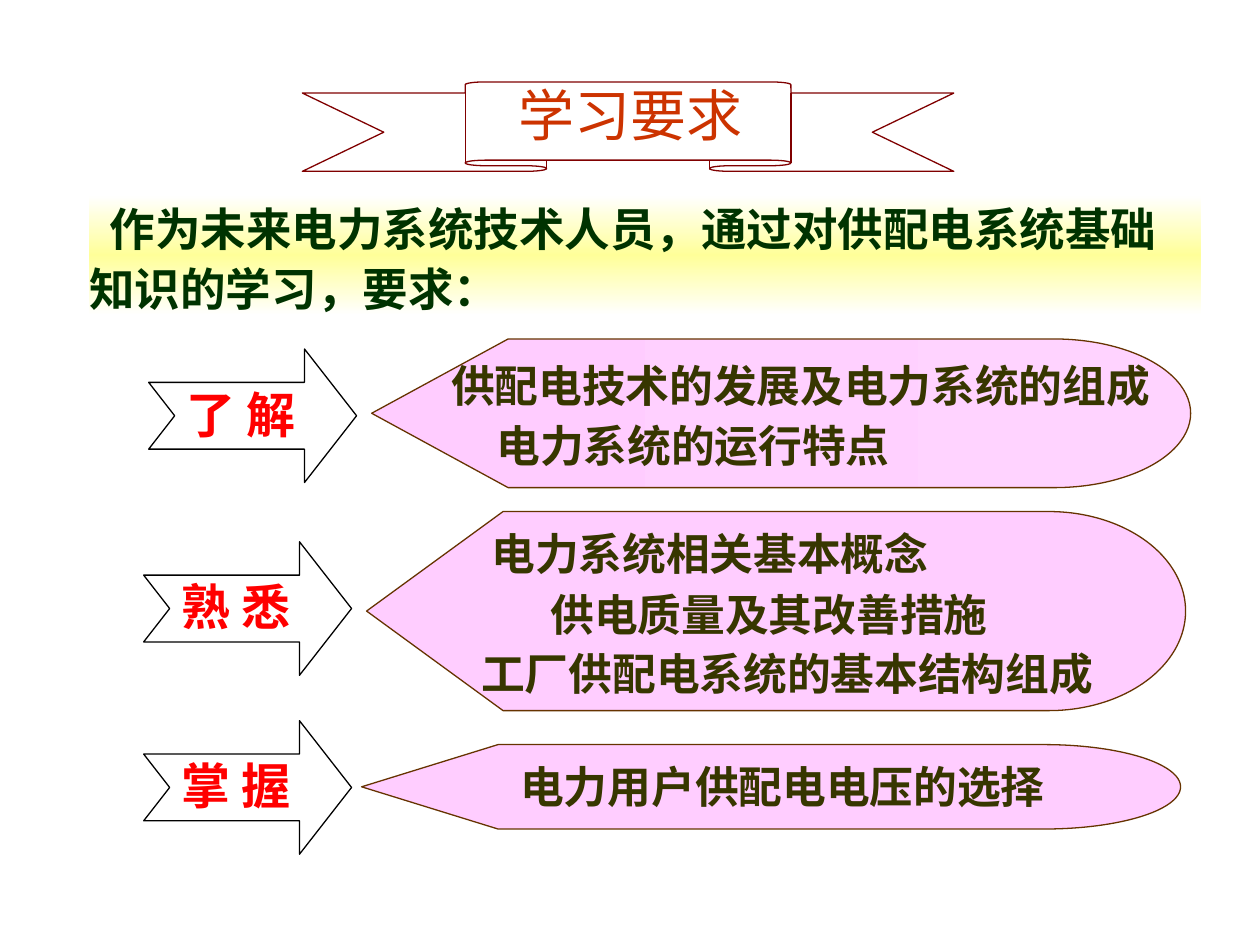
from dataclasses import dataclass

from lxml import etree
from pptx import Presentation
from pptx.dml.color import RGBColor
from pptx.enum import shapes, text
from pptx.oxml.ns import qn
from pptx.util import Inches, Pt


@dataclass(frozen=True)
class Theme:
    """Colours, fonts and type sizes of the slide."""
    latin: str = "Arial"
    cjk: str = "Noto Sans CJK SC"
    title: str = "CC3300"
    ribbon: str = "800000"
    intro: str = "003300"
    band: tuple = ("FFFFFF", "FFFF99", "FFFFFF")
    label: str = "FF0000"
    arrow: str = "000000"
    topic: str = "373600"
    panel: tuple = ("FFCCFF", "FFD3FF")
    panel_plain: tuple = ("FFCDFF", "FFCCFF")
    panel_line: str = "663300"
    title_size: int = 32
    intro_size: int = 26
    label_size: int = 28
    topic_size: float = 25
    line_width: float = 0.75


T = Theme()

LEVELS = [
    ("了 解", (1.18, 2.77), (2.95, 2.69, 6.5, 1.18), T.panel,
     [("供配电技术的发展及电力系统的组成", 3.58, 2.81, 5.71),
      ("电力系统的运行特点", 3.94, 3.28, 3.54)]),
    ("熟 悉", (1.14, 4.3), (2.91, 4.06, 6.5, 1.58), T.panel_plain,
     [("电力系统相关基本概念", 3.9, 4.14, 3.86),
      ("供电质量及其改善措施", 4.37, 4.62, 3.86),
      ("工厂供配电系统的基本结构组成", 3.82, 5.09, 5.24)]),
    ("掌 握", (1.14, 5.72), (2.87, 5.91, 6.5, 0.67), T.panel_plain,
     [("电力用户供配电电压的选择", 4.13, 5.99, 4.53)]),
]


def set_gradient(sp, colors, angle):
    """Fill a shape with evenly spaced gradient stops."""
    sp.fill.gradient()
    sp.fill.gradient_angle = angle
    stops = sp.element.spPr.find(f".//{qn('a:gsLst')}")
    for stop in list(stops):
        stops.remove(stop)
    for i, color in enumerate(colors):
        gs = etree.SubElement(stops, qn("a:gs"), pos=str(100000 * i // (len(colors) - 1)))
        etree.SubElement(gs, qn("a:srgbClr"), val=color)


def add_outline(s, kind, box, line=None, adjustments=()):
    """Add an unfilled preset shape with a thin line or none."""
    sp = s.shapes.add_shape(kind, *map(Inches, box))
    sp.shadow.inherit = False
    sp.fill.background()
    if line:
        sp.line.color.rgb = RGBColor.from_string(line)
        sp.line.width = Pt(T.line_width)
    else:
        sp.line.fill.background()
    for i, value in enumerate(adjustments):
        sp.adjustments[i] = value
    return sp


def write(sp, content, size, color, bold=True, spacing=None, latin=T.latin,
          align=text.PP_ALIGN.LEFT, inset=0):
    """Put top-anchored text into a shape and format its runs."""
    tf = sp.text_frame
    tf.text = content
    tf.word_wrap = True
    tf.auto_size = text.MSO_AUTO_SIZE.NONE
    tf.vertical_anchor = text.MSO_ANCHOR.TOP
    tf.margin_left = tf.margin_right = Inches(inset)
    tf.margin_top = tf.margin_bottom = Inches(inset / 2)
    for p in tf.paragraphs:
        p.alignment = align
        p.space_before = Pt(0)
        p.line_spacing = spacing
        for r in p.runs:
            r.font.size = Pt(size)
            r.font.bold = bold
            r.font.name = latin
            r.font.color.rgb = RGBColor.from_string(color)
            ea = etree.Element(qn("a:ea"), typeface=T.cjk)
            r.font._element.find(qn("a:latin")).addnext(ea)


def add_text(s, box, content, size, color, **style):
    """Add a text box with formatted text."""
    sp = s.shapes.add_textbox(*map(Inches, box))
    write(sp, content, size, color, **style)


def add_title(s):
    """Place the title on its ribbon."""
    add_outline(s, shapes.MSO_SHAPE.UP_RIBBON, (2.4, 0.65, 5.17, 0.71), T.ribbon, (0.125, 0.5))
    sp = s.shapes.title
    sp.left, sp.top, sp.width, sp.height = map(Inches, (3.64, 0.64, 2.73, 0.53))
    write(sp, "学习要求", T.title_size, T.title, bold=False, align=text.PP_ALIGN.CENTER)


def add_intro(s):
    """Add the introduction on its fading band."""
    sp = add_outline(s, shapes.MSO_SHAPE.RECTANGLE, (0.71, 1.55, 8.82, 0.95))
    set_gradient(sp, T.band, 90)
    write(sp, "作为未来电力系统技术人员，通过对供配电系统基础\n知识的学习，要求：",
          T.intro_size, T.intro, spacing=1.1, latin=T.cjk)
    pPr = sp.text_frame.paragraphs[0]._p.get_or_add_pPr()
    pPr.set("indent", str(Inches(0.16)))


def add_level(s, label, arrow, panel, colors, topics):
    """Add a labelled arrow and the panel of topics it points to."""
    x, y = arrow
    add_outline(s, shapes.MSO_SHAPE.NOTCHED_RIGHT_ARROW, (x, y, 1.65, 1.06),
                T.arrow, (0.5, 0.39))
    add_text(s, (x + 0.2, y + 0.23, 1.22, 0.57), label, T.label_size, T.label, inset=0.1)
    sp = add_outline(s, shapes.MSO_SHAPE.FLOWCHART_DISPLAY, panel, T.panel_line)
    set_gradient(sp, colors, 0)
    for topic, left, top, width in topics:
        add_text(s, (left, top, width, 0.46), topic, T.topic_size, T.topic, spacing=1.1)


def main():
    """Build and save the slide."""
    prs = Presentation()
    prs.slide_width, prs.slide_height = Inches(10), Inches(7.5)
    s = prs.slides.add_slide(prs.slide_layouts[5])
    add_title(s)
    add_intro(s)
    for level in LEVELS:
        add_level(s, *level)
    prs.save("out.pptx")


if __name__ == "__main__":
    main()
